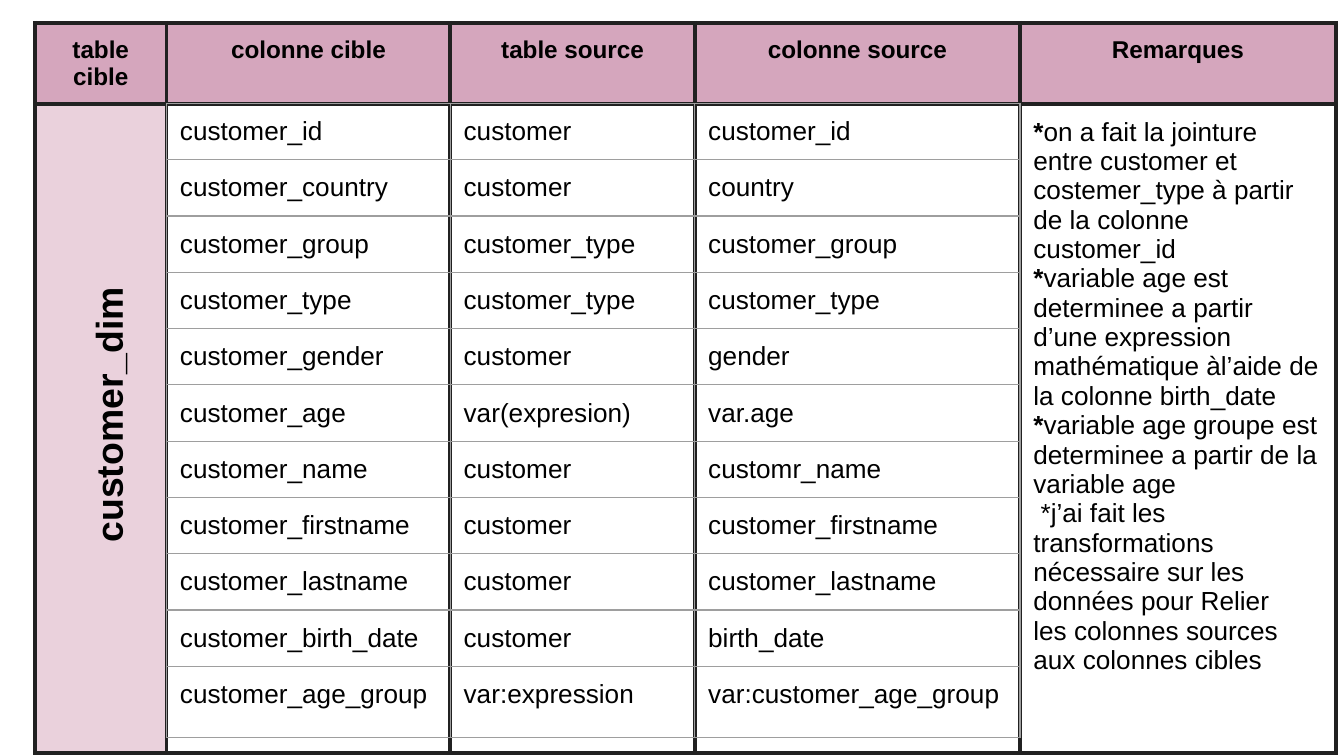
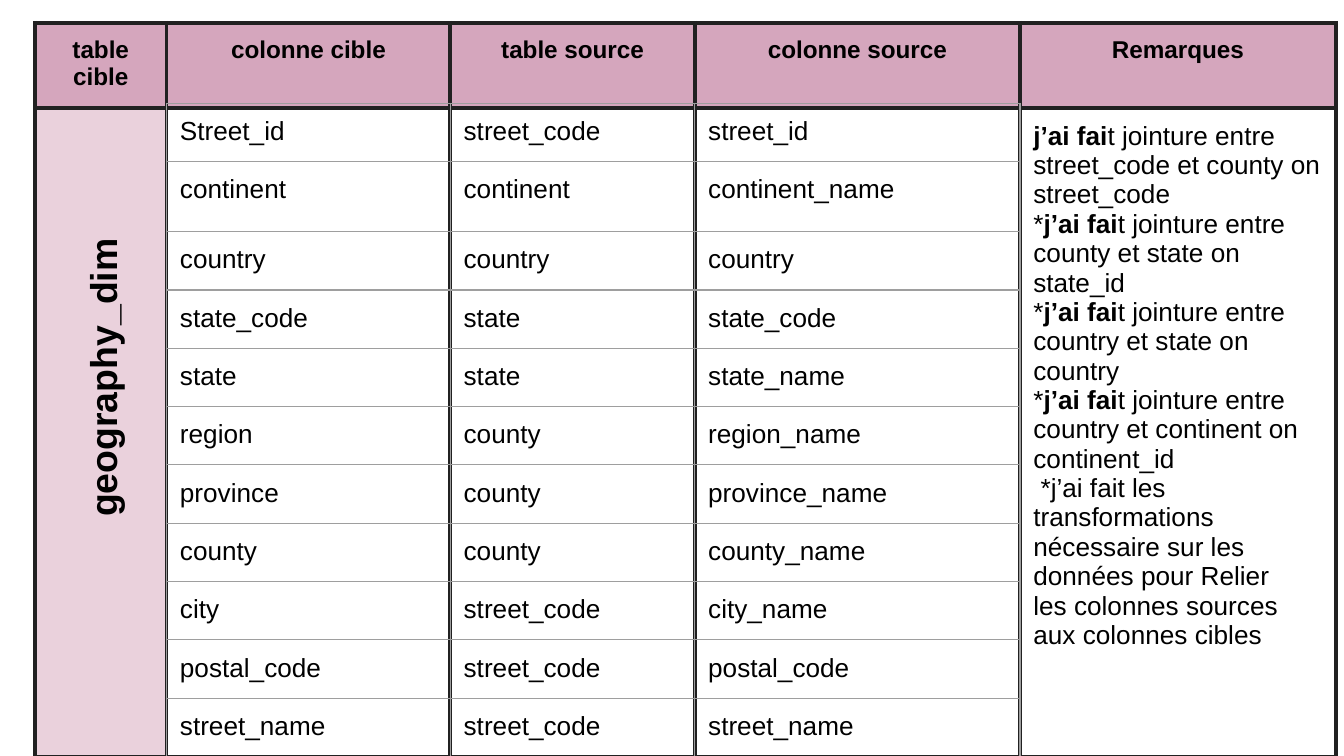
from dataclasses import dataclass

from lxml import etree
from pptx import Presentation
from pptx.dml.color import RGBColor
from pptx.enum.text import MSO_AUTO_SIZE, PP_ALIGN as Align
from pptx.oxml.ns import qn
from pptx.util import Pt


@dataclass(frozen=True)
class Theme:
    font: str = "Arial"
    ink: str = "000000"
    header_fill: str = "D5A6BD"
    target_fill: str = "EAD1DC"
    frame_line: str = "212121"
    grid_line: str = "9E9E9E"
    frame_width: float = 2.25
    grid_width: float = 0.75
    header_size: int = 13
    body_size: int = 14
    target_size: int = 20
    inset: float = 7.2


# Shared layout, in points
LEFT, TOP, GRID_TOP = 18.7, 12.2, 55.4
COLUMNS = [70.5, 152, 131, 174.2, 169.2]
FRAME_ROWS = [40.3, 347.8]
HEADERS = ["table cible", "colonne cible", "table source", "colonne source", "Remarques"]
LABEL_CENTER_X, LABEL_HEIGHT = 58, 38.9
CLOSING_REMARK = (" *j’ai fait les transformations nécessaire sur les données "
                  "pour Relier\tles colonnes sources aux colonnes cibles")


class MappingDeck:
    """Holds the theme, the presentation and the current slide."""

    def __init__(self, theme):
        self.theme = theme
        self.presentation = Presentation()
        self.presentation.slide_width = Pt(720)
        self.presentation.slide_height = Pt(405)
        self.slide = None

    def add_slide(self):
        blank_layout = self.presentation.slide_layouts[6]
        self.slide = self.presentation.slides.add_slide(blank_layout)

    def set_insets(self, target):
        target.margin_left = target.margin_right = Pt(self.theme.inset)
        target.margin_top = target.margin_bottom = Pt(self.theme.inset)

    def add_text(self, paragraph, text, size, bold=False, align=None):
        """Fill one paragraph; each | switches bold on or off."""
        paragraph.alignment = align
        for index, piece in enumerate(text.split("|")):
            if not piece:
                continue
            run = paragraph.add_run()
            run.text = piece
            run.font.name = self.theme.font
            run.font.size = Pt(size)
            run.font.bold = bold != (index % 2 == 1)
            run.font.color.rgb = RGBColor.from_string(self.theme.ink)

    def set_borders(self, cell, color, width):
        properties = cell._tc.get_or_add_tcPr()
        for side in ("a:lnL", "a:lnR", "a:lnT", "a:lnB"):
            line = etree.SubElement(properties, qn(side), w=str(Pt(width)))
            fill = etree.SubElement(line, qn("a:solidFill"))
            etree.SubElement(fill, qn("a:srgbClr"), val=color)

    def add_table(self, left, top, columns, rows, line_color, line_width):
        table = self.slide.shapes.add_table(
            len(rows), len(columns), Pt(left), Pt(top),
            Pt(sum(columns)), Pt(sum(rows))).table
        table.first_row = table.horz_banding = False
        for column, width in zip(table.columns, columns):
            column.width = Pt(width)
        for row, height in zip(table.rows, rows):
            row.height = Pt(height)
        for cell in table.iter_cells():
            self.set_insets(cell)
            self.set_borders(cell, line_color, line_width)
            cell.fill.background()
        return table

    def fill_cell(self, cell, color):
        cell.fill.solid()
        cell.fill.fore_color.rgb = RGBColor.from_string(color)

    def add_frame(self, remarks):
        theme = self.theme
        table = self.add_table(LEFT, TOP, COLUMNS, FRAME_ROWS,
                               theme.frame_line, theme.frame_width)
        for index, header in enumerate(HEADERS):
            cell = table.cell(0, index)
            self.fill_cell(cell, theme.header_fill)
            self.add_text(cell.text_frame.paragraphs[0], header,
                          theme.header_size, True, Align.CENTER)
        self.fill_cell(table.cell(1, 0), theme.target_fill)
        text_frame = table.cell(1, 4).text_frame
        for index, remark in enumerate(remarks + [CLOSING_REMARK]):
            paragraph = text_frame.add_paragraph() if index else text_frame.paragraphs[0]
            self.add_text(paragraph, remark, theme.body_size)

    def add_mapping(self, mapping, row_heights):
        theme = self.theme
        table = self.add_table(LEFT + COLUMNS[0], GRID_TOP, COLUMNS[1:4],
                               row_heights, theme.grid_line, theme.grid_width)
        for row, values in enumerate(mapping):
            for column, value in enumerate(values):
                paragraph = table.cell(row, column).text_frame.paragraphs[0]
                self.add_text(paragraph, value, theme.body_size)

    def add_target_label(self, text, center_y, length, center_x, align):
        shape = self.slide.shapes.add_textbox(
            Pt(center_x - length / 2), Pt(center_y - LABEL_HEIGHT / 2),
            Pt(length), Pt(LABEL_HEIGHT))
        shape.rotation = 270
        text_frame = shape.text_frame
        text_frame.word_wrap = True
        text_frame.auto_size = MSO_AUTO_SIZE.SHAPE_TO_FIT_TEXT
        self.set_insets(text_frame)
        self.add_text(text_frame.paragraphs[0], text, self.theme.target_size, True, align)


# Column mappings: target column, source table, source column
CUSTOMER_MAPPING = [
    ("customer_id", "customer", "customer_id"),
    ("customer_country", "customer", "country"),
    ("customer_group", "customer_type", "customer_group"),
    ("customer_type", "customer_type", "customer_type"),
    ("customer_gender", "customer", "gender"),
    ("customer_age", "var(expresion)", "var.age"),
    ("customer_name", "customer", "customr_name"),
    ("customer_firstname", "customer", "customer_firstname"),
    ("customer_lastname", "customer", "customer_lastname"),
    ("customer_birth_date", "customer", "birth_date"),
    ("customer_age_group", "var:expression", "var:customer_age_group"),
]
CUSTOMER_ROWS = [24, 25] + [22.5] * 7 + [25, 38.2]
CUSTOMER_REMARKS = [
    "|*|on a fait la jointure entre customer et costemer_type à partir "
    "de la colonne customer_id",
    "|*|variable age est determinee a partir d’une expression mathématique "
    "àl’aide de la colonne birth_date",
    "|*|variable age groupe est determinee a partir de la variable age",
]

GEOGRAPHY_MAPPING = [
    ("Street_id", "street_code", "street_id"),
    ("continent", "continent", "continent_name"),
    ("country", "country", "country"),
    ("state_code", "state", "state_code"),
    ("state", "state", "state_name"),
    ("region", "county", "region_name"),
    ("province", "county", "province_name"),
    ("county", "county", "county_name"),
    ("city", "street_code", "city_name"),
    ("postal_code", "street_code", "postal_code"),
    ("street_name", "street_code", "street_name"),
]
GEOGRAPHY_ROWS = [31.2, 37.5] + [31.2] * 7 + [24, 21.5]
JOINS = [
    "street_code et county on street_code",
    "county et state on state_id",
    "country et state on country",
    "country et continent on continent_id",
]
GEOGRAPHY_REMARKS = [
    ("*" if index else "") + f"|j’ai fai|t jointure entre {join}"
    for index, join in enumerate(JOINS)
]


def main():
    deck = MappingDeck(Theme())

    # Customer dimension
    deck.add_slide()
    deck.add_frame(CUSTOMER_REMARKS)
    deck.add_mapping(CUSTOMER_MAPPING, CUSTOMER_ROWS)
    deck.add_target_label("customer_dim", 216.7, 162, LABEL_CENTER_X, Align.LEFT)

    # Geography dimension
    deck.add_slide()
    deck.add_frame(GEOGRAPHY_REMARKS)
    deck.add_mapping(GEOGRAPHY_MAPPING, GEOGRAPHY_ROWS)
    deck.add_target_label("geography_dim", 202.3, 211, LABEL_CENTER_X - 3, Align.CENTER)

    deck.presentation.save("out.pptx")


if __name__ == "__main__":
    main()
